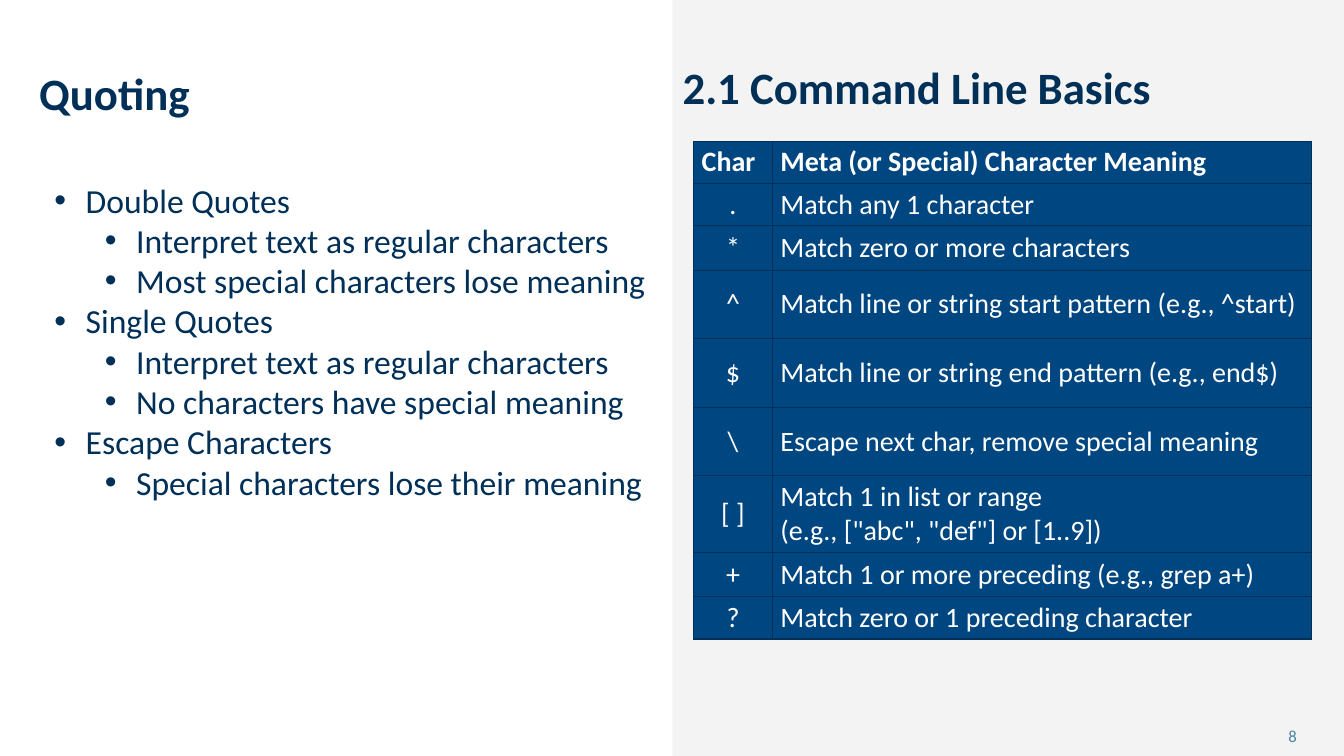
from lxml import etree
from pptx import Presentation
from pptx.dml.color import RGBColor
from pptx.enum.shapes import MSO_SHAPE
from pptx.enum.text import MSO_ANCHOR, MSO_AUTO_SIZE, PP_ALIGN
from pptx.oxml.ns import qn
from pptx.util import Inches, Pt

RECTANGLE = MSO_SHAPE.RECTANGLE
TOP, MIDDLE = MSO_ANCHOR.TOP, MSO_ANCHOR.MIDDLE
LEFT, CENTER = PP_ALIGN.LEFT, PP_ALIGN.CENTER
NO_AUTOFIT = MSO_AUTO_SIZE.NONE

FONT = "Calibri"
COLORS = {
    "navy": "003057",
    "cell": "004781",
    "panel": "E8E9E9",
    "number": "4986A0",
    "white": "FFFFFF",
}

QUOTING = [
    (0, "Double Quotes"),
    (1, "Interpret text as regular characters"),
    (1, "Most special characters lose meaning"),
    (0, "Single Quotes"),
    (1, "Interpret text as regular characters"),
    (1, "No characters have special meaning"),
    (0, "Escape Characters"),
    (1, "Special characters lose their meaning"),
]

META_CHARACTERS = [
    (0.38, "Char", "Meta (or Special) Character Meaning"),
    (0.38, ".", "Match any 1 character"),
    (0.44, "*", "Match zero or more characters"),
    (0.68, "^", "Match line or string start pattern (e.g., ^start)"),
    (0.68, "$", "Match line or string end pattern (e.g., end$)"),
    (0.68, "\\", "Escape next char, remove special meaning"),
    (0.68, "[ ]", 'Match 1 in list or range\n(e.g., ["abc", "def"] or [1..9])'),
    (0.44, "+", "Match 1 or more preceding (e.g., grep a+)"),
    (0.38, "?", "Match zero or 1 preceding character"),
]
COLUMN_WIDTHS = (0.78, 5.35)


def rgb(name):
    return RGBColor.from_string(COLORS[name])


def write(paragraph, text, size=24, color="navy", bold=False, align=LEFT, spacing=1.0):
    paragraph.alignment = align
    paragraph.line_spacing = spacing
    paragraph.space_before = Pt(0)
    for index, line in enumerate(text.split("\n")):
        if index:
            paragraph.add_line_break()
        run = paragraph.add_run()
        run.text = line
        run.font.name = FONT
        run.font.size = Pt(size)
        run.font.bold = bold
        run.font.color.rgb = rgb(color)


def place(shape, left, top, width, height):
    shape.left, shape.top = Inches(left), Inches(top)
    shape.width, shape.height = Inches(width), Inches(height)


def set_frame(frame, anchor=TOP):
    frame.word_wrap = True
    frame.auto_size = NO_AUTOFIT
    frame.vertical_anchor = anchor
    return frame


def add_panel(slide):
    panel = slide.shapes.add_shape(
        RECTANGLE, Inches(6.67), 0, Inches(6.66), Inches(7.5))
    panel.shadow.inherit = False
    panel.line.fill.background()
    panel.fill.solid()
    panel.fill.fore_color.rgb = rgb("panel")
    color = panel.fill._xPr.find(qn("a:solidFill"))[0]
    etree.SubElement(color, qn("a:alpha"), val="50000")
    slide.shapes._spTree.insert(2, panel._element)


def add_label(slide, text, box, anchor=TOP, **text_format):
    label = slide.shapes.add_textbox(*map(Inches, box))
    frame = set_frame(label.text_frame, anchor)
    write(frame.paragraphs[0], text, **text_format)


def set_bullet(paragraph, indent):
    properties = paragraph._p.get_or_add_pPr()
    properties.set("marL", str(Inches(indent)))
    properties.set("indent", str(Inches(-0.31)))
    etree.SubElement(properties, qn("a:buFont"), typeface="Arial")
    etree.SubElement(properties, qn("a:buChar"), char="•")


def fill_list(body, items):
    place(body, 0.44, 1.73, 6.12, 3.74)
    frame = set_frame(body.text_frame)
    for index, (level, text) in enumerate(items):
        paragraph = frame.add_paragraph() if index else frame.paragraphs[0]
        paragraph.level = level
        write(paragraph, text)
        set_bullet(paragraph, 0.31 + 0.5 * level)


def set_borders(cell):
    properties = cell._tc.get_or_add_tcPr()
    for index, side in enumerate(("lnL", "lnR", "lnT", "lnB")):
        border = etree.Element(qn(f"a:{side}"), w=str(Pt(1)))
        fill = etree.SubElement(border, qn("a:solidFill"))
        etree.SubElement(fill, qn("a:srgbClr"), val=COLORS["navy"])
        properties.insert(index, border)


def fill_cell(cell, text, header, align):
    cell.margin_left = cell.margin_right = Inches(0.08)
    cell.margin_top = cell.margin_bottom = Inches(0.04)
    cell.vertical_anchor = TOP if header else MIDDLE
    cell.fill.solid()
    cell.fill.fore_color.rgb = rgb("cell")
    set_borders(cell)
    write(cell.text_frame.paragraphs[0], text, size=20, color="white",
          bold=header, align=align)


def add_meta_table(slide):
    table = slide.shapes.add_table(
        len(META_CHARACTERS), len(COLUMN_WIDTHS), Inches(6.88), Inches(1.4),
        Inches(sum(COLUMN_WIDTHS)),
        Inches(sum(row[0] for row in META_CHARACTERS))).table
    table.horz_banding = False
    for column, width in zip(table.columns, COLUMN_WIDTHS):
        column.width = Inches(width)
    for row, (height, *texts) in enumerate(META_CHARACTERS):
        table.rows[row].height = Inches(height)
        for column, text in enumerate(texts):
            align = CENTER if row and column == 0 else LEFT
            fill_cell(table.cell(row, column), text, row == 0, align)


def main():
    deck = Presentation()
    deck.slide_width, deck.slide_height = Inches(13.33), Inches(7.5)
    slide = deck.slides.add_slide(deck.slide_layouts[1])
    add_panel(slide)

    title = slide.shapes.title
    place(title, 6.67, 0.6, 6.66, 0.67)
    write(set_frame(title.text_frame).paragraphs[0], "2.1 Command Line Basics",
          size=32, bold=True, spacing=0.9)

    add_label(slide, "8", (12.68, 7.1, 0.65, 0.4), MIDDLE, size=12, color="number")
    add_label(slide, "Quoting", (0.29, 0.6, 6.38, 0.64), size=32, bold=True)
    fill_list(slide.placeholders[1], QUOTING)
    add_meta_table(slide)
    deck.save("out.pptx")


if __name__ == "__main__":
    main()
